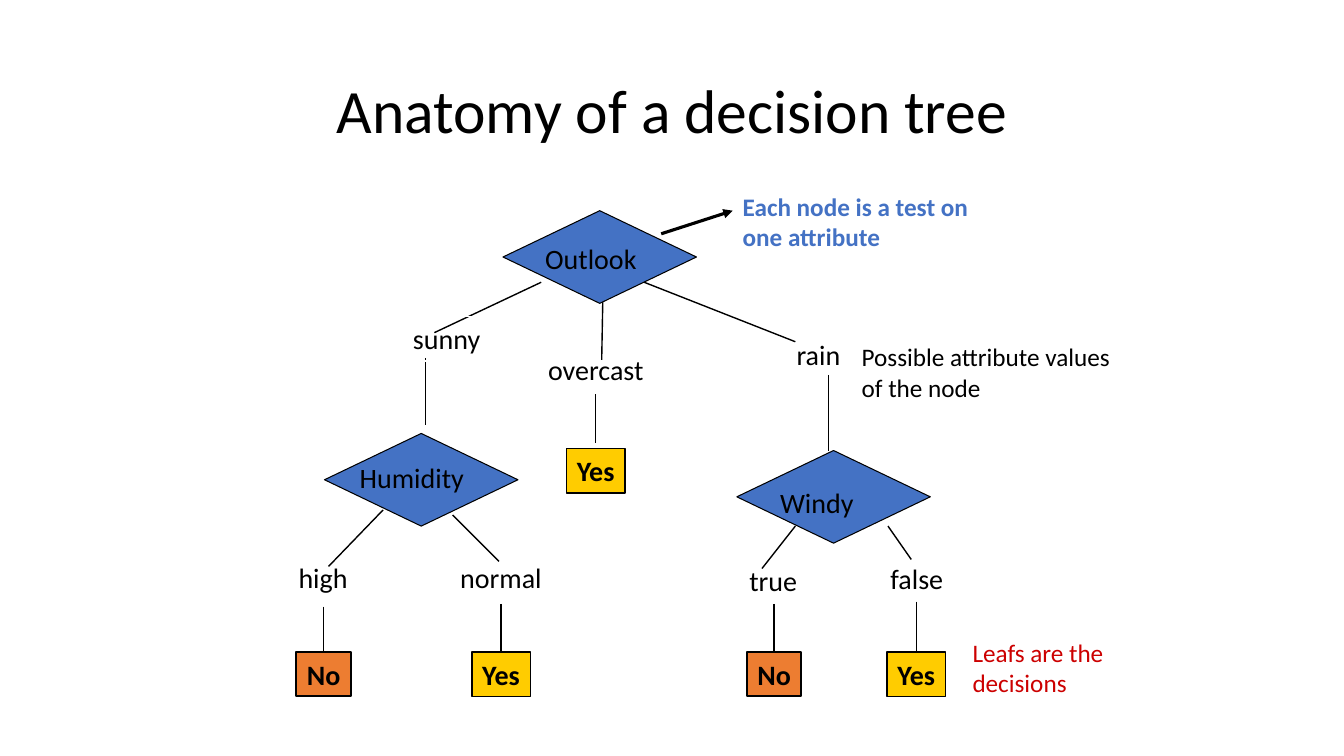
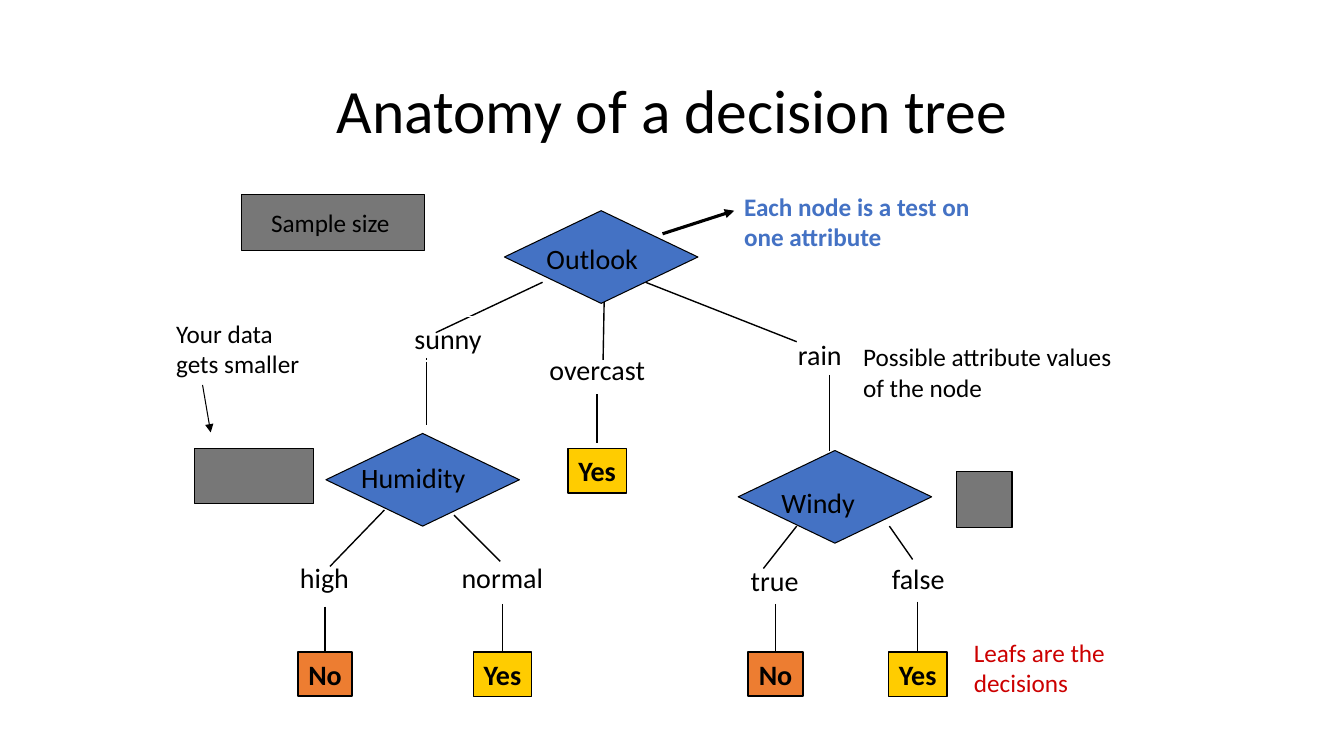
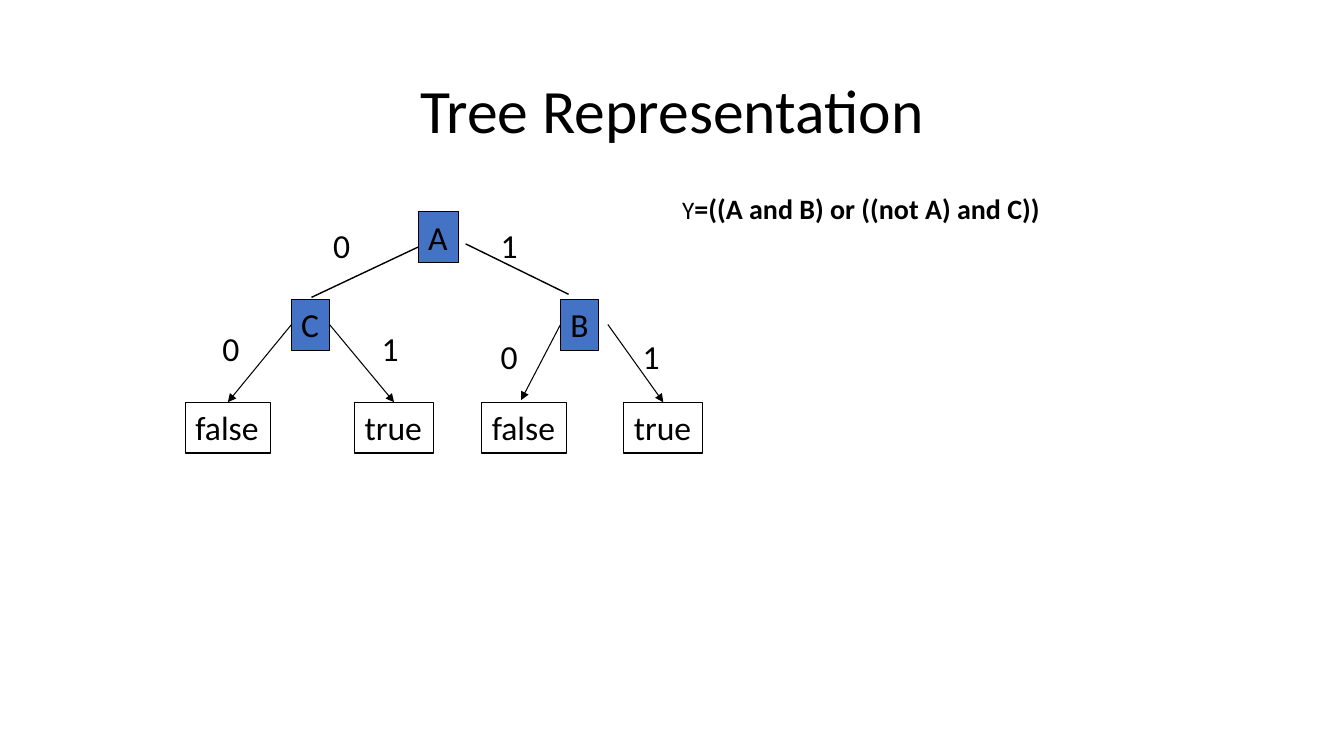
from lxml.etree import SubElement
from pptx import Presentation
from pptx.dml.color import RGBColor
from pptx.enum.shapes import MSO_CONNECTOR, MSO_SHAPE
from pptx.enum.text import MSO_ANCHOR, MSO_AUTO_SIZE, PP_ALIGN
from pptx.oxml.ns import qn
from pptx.util import Pt

FONT = "Calibri"
BLACK, WHITE, BLUE = "000000", "FFFFFF", "4472C4"
ORANGE, YELLOW, RED, GREY = "ED7D31", "FFCC00", "CC0000", "777777"
TOP, LEFT, RIGHT = 0, 1, 3

# Weather tree: text, left, top, width
VALUES = [
    ("overcast", 383.8, 248.4, 83.5),
    ("high", 205.9, 396.7, 49.7),
    ("normal", 321.1, 396.7, 73.4),
    ("false", 628.6, 397.4, 52.6),
    ("true", 527.8, 398.9, 49),
    ("rain", 561.6, 237.6, 46),
]
SUNNY = ("sunny", 287.3, 226.1, 63.4)
# Diamond left and top, then its name with left, top, width
TESTS = [
    (359.3, 150.5, "Outlook", 382.3, 169.2, 83.5),
    (231.8, 309.6, "Humidity", 249.8, 325.4, 92.2),
    (526.3, 321.8, "Windy", 550.1, 343.4, 67.7),
]
DIAMOND_SIZE = (138.2, 66.2)
# Word, left, top, top of the line that ends on the leaf
DECISIONS = [
    ("No", 211.7, 465.8, 433.4),
    ("No", 533.5, 465.8, 431.3),
    ("Yes", 337, 465.8, 431.3),
    ("Yes", 633.6, 465.8, 429.8),
    ("Yes", 404.6, 320.4, None),
]
DECISION_STYLES = {"No": (39, ORANGE, 1.5), "Yes": (41.8, YELLOW, 1)}
# From x, y, to x, y, line width
BRANCHES = [
    (386.6, 201.6, 310.3, 237.6, 1),
    (430.6, 213.8, 429.8, 257, 1),
    (460.1, 201.6, 568.1, 244.1, 1),
    (273.6, 364.3, 234.7, 404.6, 1),
    (323.3, 367.9, 356.4, 401, 1),
    (568.1, 375.8, 544.3, 406.1, 1),
    (634.3, 375.8, 650.9, 399.6, 1),
    (425.5, 281.5, 425.5, 316.1, 1),
    (303.8, 255.6, 303.8, 303.8, 0.75),
    (591.8, 267.8, 591.8, 321.8, 0.75),
]
# Text, left, top, width, colour, bold, wrap
NOTES = [
    ("Each node is a test on\none attribute", 523.4, 133.2, 181.4, BLUE, True, False),
    ("Possible attribute values\nof the node", 608.4, 240.5, 198, BLACK, False, False),
    ("Leafs are the decisions", 687.6, 451.4, 158.4, RED, False, True),
]
# Sample bars: text, left, top, width
SAMPLES = [
    ("Sample size ", 172.8, 139, 130.3),
    ("", 139, 320.4, 85),
    ("", 683.3, 337, 39.6),
]

# Boolean tree: text, left, top
BITS = [
    ("0", 230.4, 157), ("1", 349.9, 157),
    ("0", 151.2, 230.4), ("1", 265, 230.4),
    ("0", 349.9, 236.2), ("1", 451.4, 236.2),
]
# Text, left, top, width
VARIABLES = [
    ("A", 298.8, 151.2, 28.8),
    ("C", 208.1, 213.8, 27.4),
    ("B", 400.3, 213.8, 27.4),
]
RESULTS = [("false", 132.5), ("true", 253.4), ("false", 344.2), ("true", 445.7)]
RESULT_WIDTHS = {"false": 60.5, "true": 56.2}


def color(hex_string):
    return RGBColor.from_string(hex_string)


def format_run(run, size, ink=BLACK, bold=False):
    run.font.name = FONT
    run.font.size = Pt(size)
    run.font.bold = bold
    run.font.color.rgb = color(ink)


def write(shape, text, size, ink=BLACK, bold=False, align=PP_ALIGN.LEFT,
          wrap=False, fit=True):
    frame = shape.text_frame
    frame.text = text
    frame.word_wrap = wrap
    frame.auto_size = MSO_AUTO_SIZE.SHAPE_TO_FIT_TEXT if fit else MSO_AUTO_SIZE.NONE
    frame.vertical_anchor = MSO_ANCHOR.TOP if fit else MSO_ANCHOR.MIDDLE
    for paragraph in frame.paragraphs:
        paragraph.alignment = align
        for run in paragraph.runs:
            format_run(run, size, ink, bold)


def add_text(slide, box, text, size, **style):
    shape = slide.shapes.add_textbox(*map(Pt, box))
    write(shape, text, size, **style)
    return shape


def add_box(slide, box, fill=None, line=BLACK, width=0.75, kind=MSO_SHAPE.RECTANGLE):
    shape = slide.shapes.add_shape(kind, *map(Pt, box))
    shape.shadow.inherit = False
    if fill:
        shape.fill.solid()
        shape.fill.fore_color.rgb = color(fill)
    else:
        shape.fill.background()
    shape.line.color.rgb = color(line)
    shape.line.width = Pt(width)
    return shape


def add_line(slide, start, end, width=0.75, arrow=False):
    """Each end is an (x, y) point or a (shape, side) pair to join."""
    joined = [not isinstance(place[0], (int, float)) for place in (start, end)]
    points = [(0, 0) if join else place for join, place in zip(joined, (start, end))]
    line = slide.shapes.add_connector(
        MSO_CONNECTOR.STRAIGHT, *map(Pt, points[0] + points[1]))
    if joined[0]:
        line.begin_connect(*start)
    if joined[1]:
        line.end_connect(*end)
    line.line.color.rgb = color(BLACK)
    line.line.width = Pt(width)
    properties = line.element.spPr
    if arrow:
        SubElement(properties.find(qn("a:ln")), qn("a:tailEnd"), type="triangle")
    SubElement(properties, qn("a:effectLst"))


def add_slide(presentation, title):
    slide = presentation.slides.add_slide(presentation.slide_layouts[5])
    shape = slide.shapes.title
    shape.text_frame.text = title
    shape.text_frame.vertical_anchor = MSO_ANCHOR.MIDDLE
    paragraph = shape.text_frame.paragraphs[0]
    paragraph.alignment = PP_ALIGN.CENTER
    paragraph.line_spacing = 0.9
    format_run(paragraph.runs[0], 44)
    return slide


def add_weather_tree(presentation, shift=0):
    """The whole tree is moved right by shift points."""
    slide = add_slide(presentation, "Anatomy of a decision tree")
    for text, left, top, width in VALUES:
        add_text(slide, (left + shift, top, width, 31.7), text, 20,
                 align=PP_ALIGN.CENTER)
    for x1, y1, x2, y2, width in BRANCHES:
        add_line(slide, (x1 + shift, y1), (x2 + shift, y2), width)
    text, left, top, width = SUNNY
    sunny = add_box(slide, (left + shift, top, width, 31.7), line=WHITE, width=1)
    write(sunny, text, 20, align=PP_ALIGN.CENTER)
    for word, left, top, stem_top in DECISIONS:
        width, fill, outline = DECISION_STYLES[word]
        leaf = add_box(slide, (left + shift, top, width, 31.7), fill, width=outline)
        write(leaf, word, 20, bold=True, align=PP_ALIGN.CENTER)
        if stem_top:
            add_line(slide, (left + shift + width / 2, stem_top), (leaf, TOP), 1)
    for left, top, name, name_left, name_top, width in TESTS:
        add_box(slide, (left + shift, top, *DIAMOND_SIZE), BLUE,
                kind=MSO_SHAPE.DIAMOND)
        add_text(slide, (name_left + shift, name_top, width, 31), name, 20)
    add_line(slide, (472.3 + shift, 167), (523.4 + shift, 150.5), 2.25, arrow=True)
    for text, left, top, width, ink, bold, wrap in NOTES:
        add_text(slide, (left + shift, top, width, 51), text, 18,
                 ink=ink, bold=bold, wrap=wrap)
    return slide


def add_samples(slide):
    for text, left, top, width in SAMPLES:
        bar = add_box(slide, (left, top, width, 39.6), GREY)
        if text:
            write(bar, text, 18, align=PP_ALIGN.CENTER, fit=False)
    add_line(slide, (144.7, 275), (150.5, 308.9), arrow=True)
    add_text(slide, (118.8, 223.9, 103, 51), "Your data\ngets smaller", 18)


def add_boolean_tree(presentation):
    slide = add_slide(presentation, "Tree Representation")
    for text, left, top in BITS:
        bit = add_box(slide, (left, top, 27.4, 36.7), line=WHITE, width=1)
        write(bit, text, 24, align=PP_ALIGN.CENTER)
    nodes = {}
    for text, left, top, width in VARIABLES:
        nodes[text] = add_box(slide, (left, top, width, 36.3), BLUE)
        write(nodes[text], text, 24)
    results = []
    for text, left in RESULTS:
        result = add_box(slide, (left, 287.3, RESULT_WIDTHS[text], 36.3))
        write(result, text, 24)
        results.append(result)

    add_line(slide, (298.8, 176.4), (222.5, 212.4), 1)
    add_line(slide, (332.6, 174.2), (406.1, 210.2), 1)
    for start, end in [
        ((nodes["C"], LEFT), (results[0], TOP)),
        ((nodes["C"], RIGHT), (results[1], TOP)),
        ((nodes["B"], LEFT), (372.2, 285.8)),
        ((434.2, 231.8), (results[3], TOP)),
    ]:
        add_line(slide, start, end, arrow=True)

    formula = add_text(slide, (480.2, 133.2, 272.9, 31), "Y", 18)
    run = formula.text_frame.paragraphs[0].add_run()
    run.text = "=((A and B) or ((not A) and C))"
    format_run(run, 20, bold=True)


def main():
    presentation = Presentation()
    presentation.slide_width, presentation.slide_height = Pt(960), Pt(540)
    title = presentation.slide_layouts[5].placeholders[0]
    title.left, title.top, title.width, title.height = map(Pt, (66.2, 28.8, 828, 104.4))
    add_weather_tree(presentation)
    add_samples(add_weather_tree(presentation, shift=1))
    add_boolean_tree(presentation)
    presentation.save("out.pptx")


if __name__ == "__main__":
    main()
